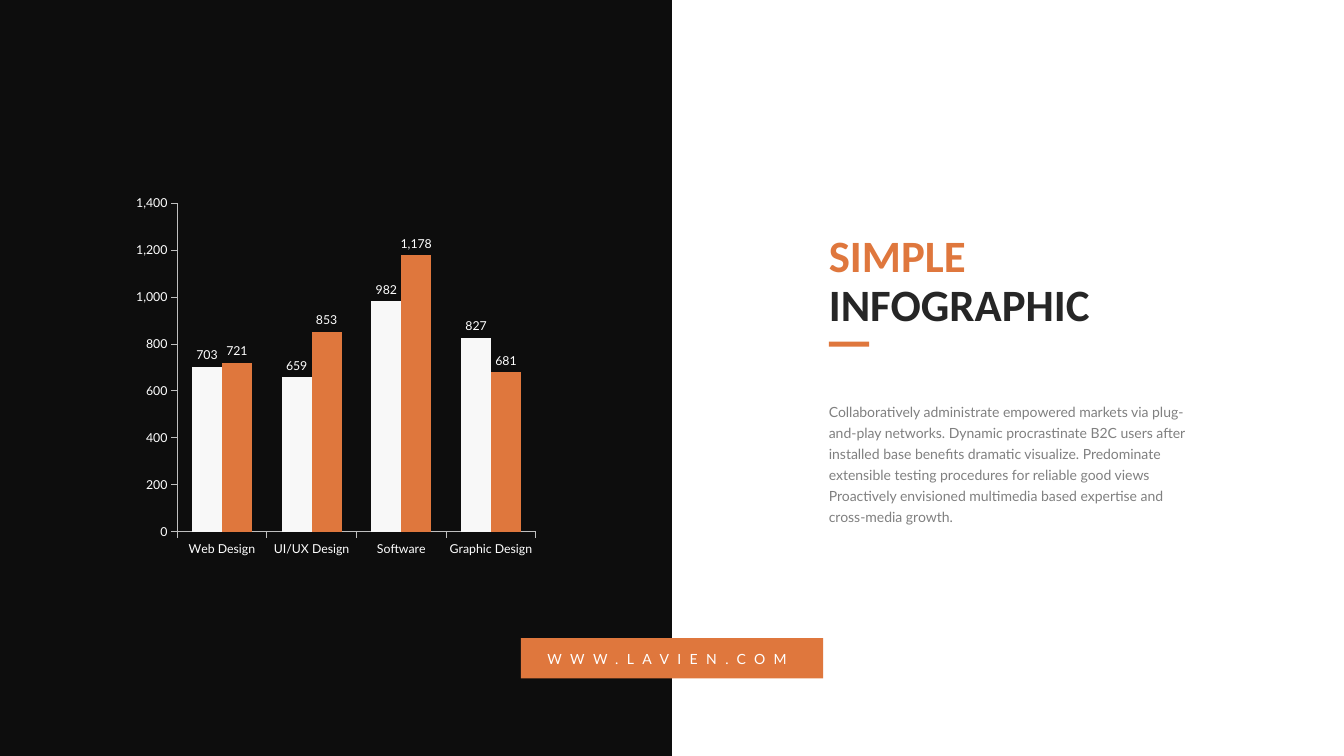
from dataclasses import dataclass

from lxml.etree import SubElement
from pptx import Presentation
from pptx.chart.data import CategoryChartData
from pptx.dml.color import RGBColor
from pptx.enum.chart import XL_CHART_TYPE as ChartType, XL_LABEL_POSITION as LabelSpot
from pptx.enum.chart import XL_TICK_MARK as TickMark
from pptx.enum.shapes import MSO_SHAPE as Preset
from pptx.enum.text import MSO_ANCHOR as Anchor, MSO_AUTO_SIZE as AutoSize, PP_ALIGN as Align
from pptx.oxml.ns import qn
from pptx.util import Inches, Pt


@dataclass(frozen=True)
class Theme:
    accent: str = "DF773D"
    panel: str = "0D0D0D"
    heading: str = "262626"
    body: str = "808080"
    light: str = "FFFFFF"
    pale_bar: str = "F8F8F8"
    axis: str = "BFBFBF"
    heading_font: str = "Calibri"
    text_font: str = "Lato"
    heading_size: int = 32
    text_size: int = 10
    chart_size: int = 9


THEME = Theme()
WIDTH, HEIGHT = Inches(13.33), Inches(7.5)
TEXT_LEFT = 61.67  # shared left edge of the right-hand column, in percent

CATEGORIES = ["Web Design", "UI/UX Design", "Software", "Graphic Design"]
SERIES = [
    ("Series 1", [703, 659, 982, 827], THEME.pale_bar),
    ("Series 2", [721, 853, 1178, 681], THEME.accent),
]
BODY_TEXT = (
    "Collaboratively administrate empowered markets via plug-and-play networks. "
    "Dynamic procrastinate B2C users after installed base benefits dramatic visualize. "
    "Predominate extensible testing procedures for reliable good views Proactively "
    "envisioned multimedia based expertise and cross-media growth."
)


def area(left, top, width, height):
    """Turn percentages of the slide into a position and size."""
    shares = ((left, WIDTH), (top, HEIGHT), (width, WIDTH), (height, HEIGHT))
    return [round(share * full / 100) for share, full in shares]


def style_font(font, name, size, color, bold=False):
    font.name, font.size, font.bold = name, Pt(size), bold
    font.color.rgb = RGBColor.from_string(color)


def add_block(page, place, color):
    block = page.shapes.add_shape(Preset.RECTANGLE, *area(*place))
    block.shadow.inherit = False
    block.fill.solid()
    block.fill.fore_color.rgb = RGBColor.from_string(color)
    block.line.fill.background()


def set_frame(box, place, text, anchor=Anchor.TOP):
    """Place a text holder without margins and return its paragraphs."""
    box.left, box.top, box.width, box.height = area(*place)
    frame = box.text_frame
    frame.text = text
    frame.word_wrap = True
    frame.auto_size = AutoSize.SHAPE_TO_FIT_TEXT
    frame.vertical_anchor = anchor
    frame.margin_left = frame.margin_right = frame.margin_top = frame.margin_bottom = 0
    for para in frame.paragraphs:
        para.alignment = Align.LEFT
        para.space_before = Pt(0)
    return frame.paragraphs


def fill_title(page):
    place = (TEXT_LEFT, 30.67, 24, 13.07)
    paras = set_frame(page.shapes.title, place, "SIMPLE\nINFOGRAPHIC", Anchor.MIDDLE)
    for para, color in zip(paras, (THEME.accent, THEME.heading)):
        para.line_spacing = Pt(35)
        style_font(para.runs[0].font, THEME.heading_font, THEME.heading_size, color, True)


def fill_body(page):
    place = (TEXT_LEFT, 52.8, 26.7, 16.53)
    para = set_frame(page.placeholders[1], place, BODY_TEXT)[0]
    para.line_spacing = Pt(15)
    settings = para._p.get_or_add_pPr()
    settings.set("marL", "0")
    settings.set("indent", "0")
    SubElement(settings, qn("a:buNone"))
    style_font(para.runs[0].font, THEME.text_font, THEME.text_size, THEME.body)


def add_address(page, place, text):
    box = page.shapes.add_textbox(*area(*place))
    span = set_frame(box, place, text)[0].runs[0]
    style_font(span.font, THEME.text_font, THEME.text_size, THEME.light)
    span._r.get_or_add_rPr().set("spc", "600")


def style_axis(axis):
    axis.has_major_gridlines = False
    axis.major_tick_mark = TickMark.OUTSIDE
    axis.minor_tick_mark = TickMark.NONE
    axis.format.line.color.rgb = RGBColor.from_string(THEME.axis)
    axis.format.line.width = Pt(0.75)
    style_font(axis.tick_labels.font, THEME.text_font, THEME.chart_size, THEME.light)


def set_plot_layout(chart, **shares):
    """Fix the inner plot area as shares of the chart."""
    plot_area = chart._chartSpace.chart.plotArea
    layout = plot_area.find(qn("c:layout"))
    if layout is None:
        layout = SubElement(plot_area, qn("c:layout"))
        plot_area.insert(0, layout)
    manual = SubElement(layout, qn("c:manualLayout"))
    settings = {"layoutTarget": "inner", "xMode": "edge", "yMode": "edge", **shares}
    for tag, value in settings.items():
        SubElement(manual, qn(f"c:{tag}")).set("val", str(value))


def add_column_chart(page, place):
    data = CategoryChartData(number_format="#,##0")
    data.categories = CATEGORIES
    for name, values, _ in SERIES:
        data.add_series(name, values)
    chart = page.shapes.add_chart(ChartType.COLUMN_CLUSTERED, *area(*place), data).chart
    chart.has_title = chart.has_legend = False
    style_font(chart.font, THEME.text_font, THEME.chart_size, THEME.light)

    # Axes
    for axis in (chart.category_axis, chart.value_axis):
        style_axis(axis)
    scale = chart.value_axis
    scale.minimum_scale, scale.maximum_scale, scale.major_unit = 0, 1400, 200
    scale.tick_labels.number_format = "#,##0"
    scale.tick_labels.number_format_is_linked = False
    set_plot_layout(chart, x=0.08, y=0, w=0.92, h=0.92)

    # Columns and their values
    plot = chart.plots[0]
    plot.gap_width, plot.overlap, plot.vary_by_categories = 100, 0, False
    for series, (_, _, color) in zip(plot.series, SERIES):
        series.format.fill.solid()
        series.format.fill.fore_color.rgb = RGBColor.from_string(color)
        labels = series.data_labels
        labels.show_value = True
        labels.position = LabelSpot.OUTSIDE_END
        labels.number_format = "#,##0"
        labels.number_format_is_linked = False
        style_font(labels.font, THEME.text_font, THEME.chart_size, THEME.light)


def main():
    deck = Presentation()
    deck.slide_width, deck.slide_height = WIDTH, HEIGHT
    page = deck.slides.add_slide(deck.slide_layouts[1])

    # Dark half with the chart
    add_block(page, (0, 0, 50, 100), THEME.panel)
    add_column_chart(page, (10.13, 25.87, 29.78, 48.27))

    # Heading, accent dash and description
    fill_title(page)
    add_block(page, (TEXT_LEFT, 45.2, 3, 0.67), THEME.accent)
    fill_body(page)

    # Web address banner
    add_block(page, (38.75, 84.4, 22.5, 5.33), THEME.accent)
    add_address(page, (40.73, 86, 18.6, 2.27), "WWW.LAVIEN.COM")

    deck.save("out.pptx")


if __name__ == "__main__":
    main()
